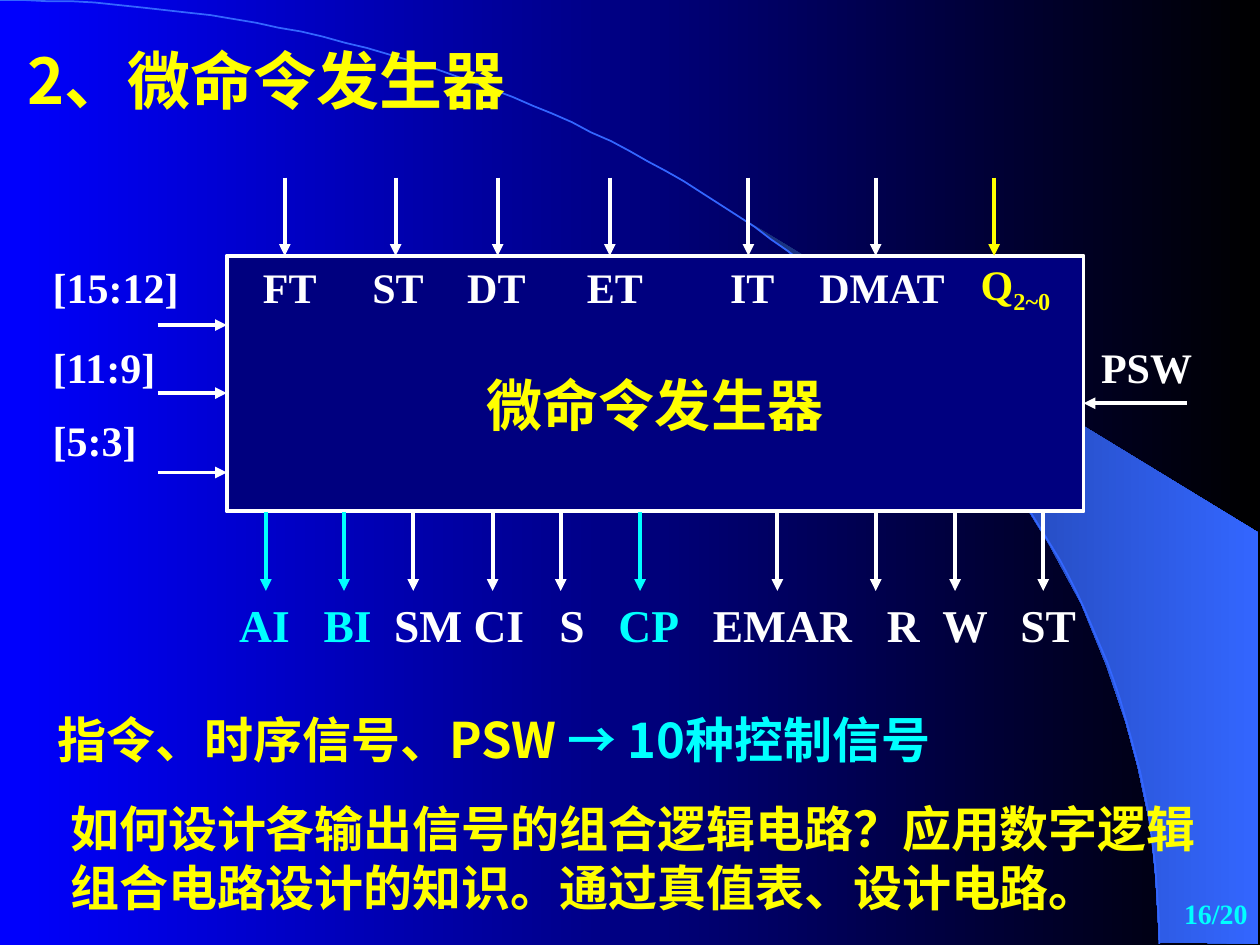
from dataclasses import dataclass
from typing import NamedTuple

from lxml.etree import SubElement
from pptx import Presentation
from pptx.dml.color import RGBColor
from pptx.enum.shapes import MSO_CONNECTOR, MSO_SHAPE
from pptx.enum.text import MSO_ANCHOR, MSO_AUTO_SIZE, PP_ALIGN
from pptx.oxml.ns import qn
from pptx.util import Emu, Pt

SCALE = 9144  # EMU in one px, 100 px to the inch


@dataclass(frozen=True)
class Theme:
    white: str = "FFFFFF"
    yellow: str = "FFFF00"
    cyan: str = "00FFFF"
    navy: str = "00007F"
    blue: str = "0000FF"
    black: str = "000000"
    band_dark: str = "182F76"
    band_light: str = "3366FF"
    latin: str = "Times New Roman"
    chinese: str = "Noto Sans CJK SC"
    title: int = 36
    block: int = 32
    body: int = 28
    output: int = 26
    label: int = 24
    page: int = 16
    line: float = 2.25


THEME = Theme()


class Span(NamedTuple):
    text: str
    color: str = THEME.white
    baseline: int = 0


class Box(NamedTuple):
    left: int
    top: int
    width: int
    height: int


class Input(NamedTuple):
    name: str
    label_top: int
    arrow_y: int


class Timing(NamedTuple):
    center: int
    arrow_x: int
    label_top: int
    spans: list[Span]


class Output(NamedTuple):
    name: str
    text_x: int
    arrow_x: int
    color: str = THEME.white


INPUTS = [Input("[15:12]", 203, 258), Input("[11:9]", 266, 312), Input("[5:3]", 324, 375)]
TIMINGS = [
    Timing(230, 226, 203, [Span("FT")]),
    Timing(316, 314, 203, [Span("ST")]),
    Timing(394, 395, 203, [Span("DT")]),
    Timing(488, 484, 203, [Span("ET")]),
    Timing(597, 594, 203, [Span("IT")]),
    Timing(700, 695, 203, [Span("DMAT")]),
    Timing(806, 789, 200, [Span("Q", THEME.yellow), Span("2~0", THEME.yellow, -25000)]),
]
OUTPUTS = [
    Output("AI", 190, 211, THEME.cyan),
    Output("BI", 257, 273, THEME.cyan),
    Output("SM", 313, 328),
    Output("CI", 376, 391),
    Output("S", 444, 445),
    Output("CP", 491, 508, THEME.cyan),
    Output("EMAR", 566, 617),
    Output("R", 704, 695),
    Output("W", 748, 758),
    Output("ST", 810, 828),
]
BLOCK = Box(180, 203, 680, 203)
BAND = [(920, 748), (999, 749), (999, 423), (589, 173), (624, 199), (653, 222),
        (685, 250), (716, 280), (762, 330), (803, 384), (832, 431), (858, 479),
        (878, 528), (893, 572), (903, 609), (913, 656), (917, 696)]


def px(length: float) -> Emu:
    return Emu(round(length * SCALE))


def rgb(color: str) -> RGBColor:
    return RGBColor.from_string(color)


def set_gradient(fill, start: str, end: str) -> None:
    fill.gradient()
    fill.gradient_angle = 0
    for stop, color in zip(fill.gradient_stops, (start, end)):
        stop.color.rgb = rgb(color)


def write(shape, paragraphs: list[list[Span]], size: int, font: str = THEME.latin,
          align=PP_ALIGN.LEFT, anchor=MSO_ANCHOR.TOP, top_inset: int = 5,
          tabs: tuple[int, ...] = ()) -> None:
    frame = shape.text_frame
    frame_format = {"word_wrap": False, "auto_size": MSO_AUTO_SIZE.NONE,
                    "vertical_anchor": anchor, "margin_left": px(10),
                    "margin_right": px(10), "margin_top": px(top_inset),
                    "margin_bottom": px(5)}
    for name, value in frame_format.items():
        setattr(frame, name, value)
    for index, spans in enumerate(paragraphs):
        para = frame.add_paragraph() if index else frame.paragraphs[0]
        para.alignment = align
        para.space_before = Pt(0)
        if font == THEME.chinese:
            para.line_spacing = Pt(round(size * 1.22))
        if tabs:
            tab_list = SubElement(para._p.get_or_add_pPr(), qn("a:tabLst"))
            for tab in tabs:
                SubElement(tab_list, qn("a:tab"), pos=str(px(tab)), algn="l")
        for span in spans:
            run = para.add_run()
            run.text = span.text
            font_format = {"name": font, "size": Pt(size), "bold": True}
            for name, value in font_format.items():
                setattr(run.font, name, value)
            run.font.color.rgb = rgb(span.color)
            properties = run._r.get_or_add_rPr()
            SubElement(properties, qn("a:ea"), typeface=font)
            if span.baseline:
                properties.set("baseline", str(span.baseline))


def add_text(page, box: Box, paragraphs: list[list[Span]], size: int, **options) -> None:
    write(page.shapes.add_textbox(*map(px, box)), paragraphs, size, **options)


def add_arrow(page, start: tuple[int, int], end: tuple[int, int],
              color: str = THEME.white) -> None:
    arrow = page.shapes.add_connector(MSO_CONNECTOR.STRAIGHT, *map(px, start + end))
    arrow.line.color.rgb = rgb(color)
    arrow.line.width = Pt(THEME.line)
    SubElement(arrow.line._get_or_add_ln(), qn("a:tailEnd"), type="triangle")
    SubElement(arrow._element.spPr, qn("a:effectLst"))


def add_outline(page, points: list[tuple[float, float]], close: bool):
    builder = page.shapes.build_freeform(*points[0], scale=SCALE)
    builder.add_line_segments(points[1:], close=close)
    shape = builder.convert_to_shape()
    shape.shadow.inherit = False
    return shape


def add_backdrop(page) -> None:
    set_gradient(page.background.fill, THEME.blue, THEME.black)
    band = add_outline(page, BAND, True)
    set_gradient(band.fill, THEME.band_dark, THEME.band_light)
    band.line.fill.background()
    # Bezier curve from the top left corner to the bottom edge
    steps = [step / 80 for step in range(81)]
    curve = [(3 * (1 - t) ** 2 * t * 508 + 3 * (1 - t) * t ** 2 * 920 + t ** 3 * 920,
              3 * (1 - t) * t ** 2 * 335 + t ** 3 * 749) for t in steps]
    arc = add_outline(page, curve, False)
    arc.fill.background()
    arc.line.color.rgb = rgb(THEME.band_light)
    arc.line.width = Pt(1)


def add_block(page) -> None:
    block = page.shapes.add_shape(MSO_SHAPE.RECTANGLE, *map(px, BLOCK))
    block.shadow.inherit = False
    block.fill.solid()
    block.fill.fore_color.rgb = rgb(THEME.navy)
    block.line.color.rgb = rgb(THEME.white)
    block.line.width = Pt(THEME.line)
    write(block, [[Span("微命令发生器", THEME.yellow)]], THEME.block, font=THEME.chinese,
          align=PP_ALIGN.CENTER, anchor=MSO_ANCHOR.MIDDLE, top_inset=36)


def add_signals(page) -> None:
    right, bottom = BLOCK.left + BLOCK.width, BLOCK.top + BLOCK.height
    # Instruction fields on the left
    for field in INPUTS:
        add_arrow(page, (125, field.arrow_y), (BLOCK.left, field.arrow_y))
        add_text(page, Box(32, field.label_top, 120, 50), [[Span(field.name)]], THEME.label)
    # Timing signals above
    for timing in TIMINGS:
        add_arrow(page, (timing.arrow_x, 141), (timing.arrow_x, BLOCK.top),
                  timing.spans[0].color)
        add_text(page, Box(timing.center - 60, timing.label_top, 120, 50), [timing.spans],
                 THEME.label, align=PP_ALIGN.CENTER)
    # Status word on the right
    add_arrow(page, (942, 320), (right, 320))
    add_text(page, Box(864, 266, 92, 50), [[Span("PSW")]], THEME.label)
    # Control signals below, on one tabbed line
    for output in OUTPUTS:
        add_arrow(page, (output.arrow_x, bottom), (output.arrow_x, 469), output.color)
    first = OUTPUTS[0].text_x
    spans = [Span(("\t" if index else "") + output.name, output.color)
             for index, output in enumerate(OUTPUTS)]
    add_text(page, Box(first - 10, 469, 719, 50), [spans], THEME.output,
             tabs=tuple(output.text_x - first for output in OUTPUTS[1:]))


def main() -> None:
    deck = Presentation()
    deck.slide_width, deck.slide_height = px(1000), px(750)
    page = deck.slides.add_slide(deck.slide_layouts[5])
    add_backdrop(page)

    # Title, in front of the backdrop
    title = page.shapes.title
    page.shapes._spTree.append(title._element)
    title.left, title.top, title.width, title.height = map(px, Box(12, 27, 412, 70))
    write(title, [[Span("2、微命令发生器", THEME.yellow)]], THEME.title, font=THEME.chinese)

    add_block(page)
    add_signals(page)

    # Conclusions and page number
    add_text(page, Box(36, 558, 733, 57),
             [[Span("指令、时序信号、PSW ", THEME.yellow), Span("→ 10种控制信号", THEME.cyan)]],
             THEME.body, font=THEME.chinese)
    add_text(page, Box(46, 628, 913, 104),
             [[Span("如何设计各输出信号的组合逻辑电路？应用数字逻辑", THEME.yellow)],
              [Span("组合电路设计的知识。通过真值表、设计电路。", THEME.yellow)]],
             THEME.body, font=THEME.chinese)
    add_text(page, Box(792, 700, 208, 50), [[Span("16/20", THEME.cyan)]], THEME.page,
             align=PP_ALIGN.RIGHT, anchor=MSO_ANCHOR.MIDDLE)
    deck.save("out.pptx")


if __name__ == "__main__":
    main()
